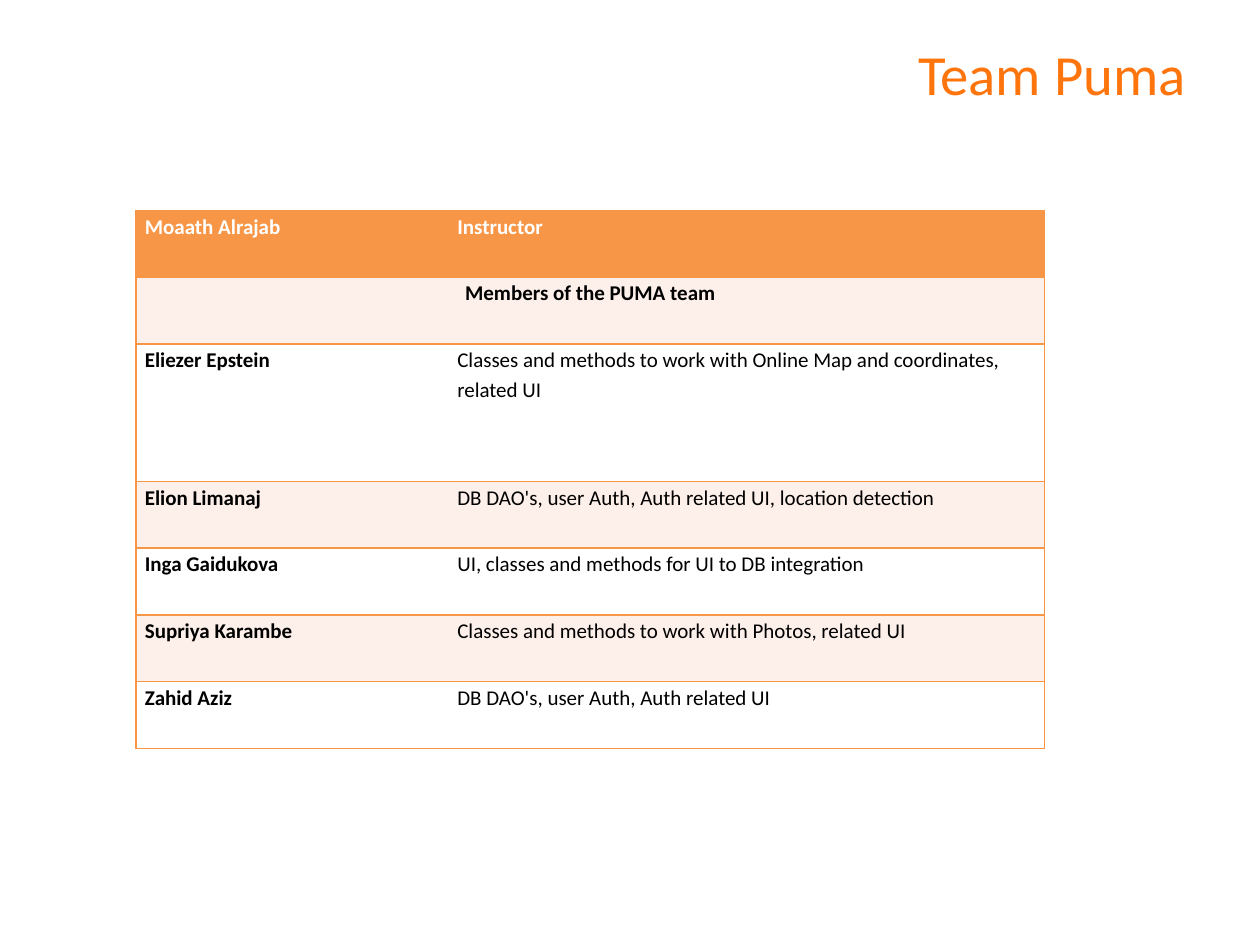
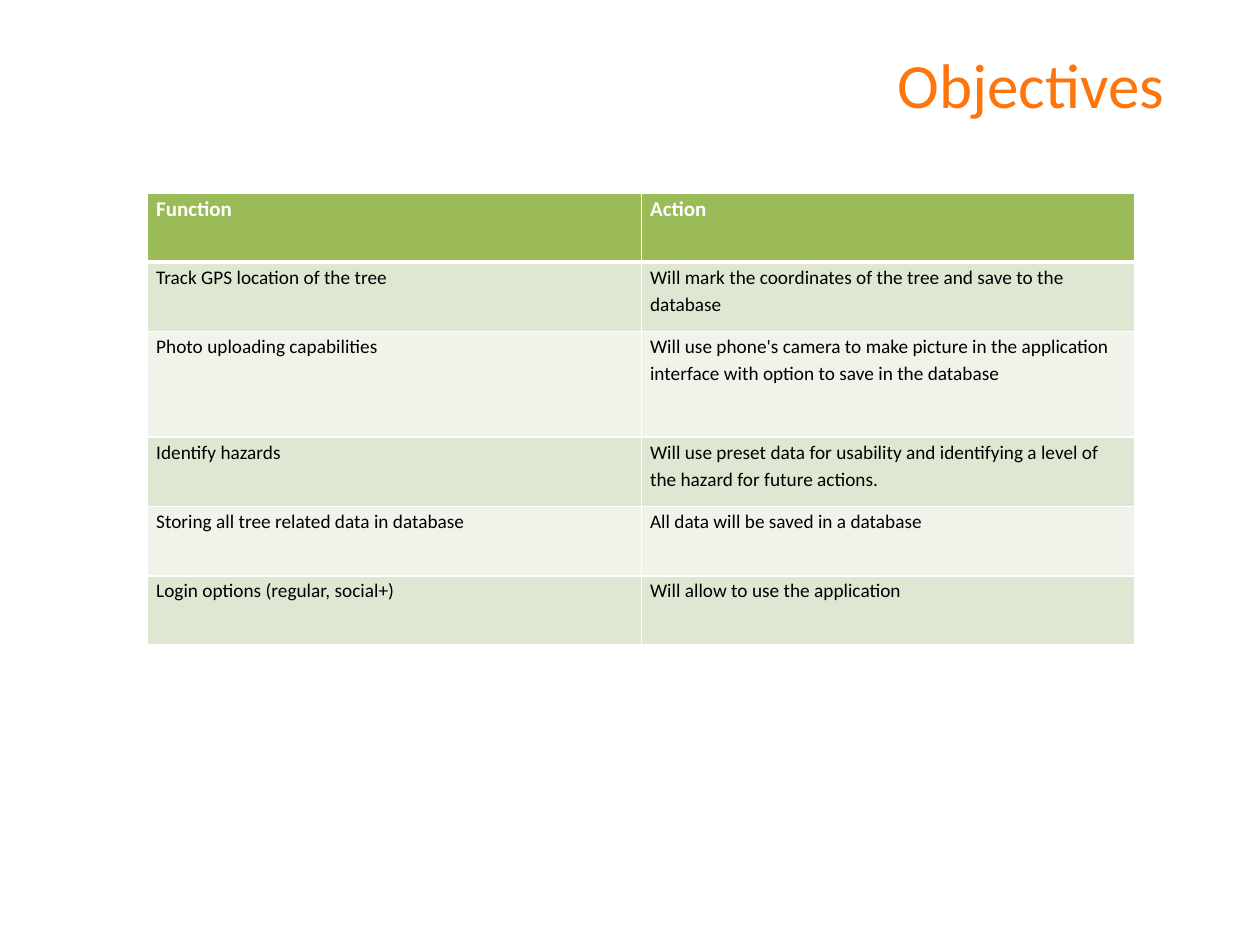
from dataclasses import dataclass

from lxml import etree
from pptx import Presentation, util as u
from pptx.dml.color import RGBColor
from pptx.enum import text
from pptx.oxml import ns


@dataclass(frozen=True)
class Theme:
    """Colours, font and type sizes shared by the slides."""
    font: str = "Calibri"
    title: str = "FF750D"
    white: str = "FFFFFF"
    black: str = "000000"
    orange: str = "F79646"
    peach: str = "FDEFE9"
    green: str = "9BBB59"
    sage: str = "DEE7D1"
    mint: str = "EFF3EA"
    team_title: float = 32.4
    goals_title: float = 36
    head: float = 12
    small: float = 11


T = Theme()

TEAM = [
    ("Moaath Alrajab", "Instructor"),
    ("Members of the PUMA team", ""),
    ("Eliezer Epstein", "Classes and methods to work with Online Map and coordinates, related UI"),
    ("Elion Limanaj", "DB DAO's, user Auth, Auth related UI, location detection"),
    ("Inga Gaidukova", "UI, classes and methods for UI to DB integration"),
    ("Supriya Karambe", "Classes and methods to work with Photos, related UI"),
    ("Zahid Aziz", "DB DAO's, user Auth, Auth related UI"),
]
GOALS = [
    ("Function", "Action"),
    ("Track GPS location of the tree",
     "Will mark the coordinates of the tree and save to the database"),
    ("Photo uploading capabilities",
     "Will use phone's camera to make picture in the application interface "
     "with option to save in the database"),
    ("Identify hazards",
     "Will use preset data for usability and identifying a level of the hazard for future actions."),
    ("Storing all tree related data in database", "All data will be saved in a database"),
    ("Login options (regular, social+)", "Will allow to use the application"),
]


def add_run(p, words, size, color, bold=False):
    """Add one formatted run to a paragraph."""
    r = p.add_run()
    r.text = words
    r.font.name, r.font.size, r.font.bold = T.font, u.Pt(size), bold
    r.font.color.rgb = RGBColor.from_string(color)


def add_title(s, box, words, size):
    """Place the right-aligned title in its box."""
    sp = s.shapes.title
    sp.left, sp.top, sp.width, sp.height = (u.Inches(v) for v in box)
    tf = sp.text_frame
    tf.auto_size = text.MSO_AUTO_SIZE.NONE
    tf.vertical_anchor = text.MSO_ANCHOR.MIDDLE
    p = tf.paragraphs[0]
    p.alignment = text.PP_ALIGN.RIGHT
    add_run(p, words, size, T.title)


def add_grid(s, box, cols, rows):
    """Add a table with the given column widths and row heights."""
    left, top = box
    size = (left, top, sum(cols), sum(rows))
    tbl = s.shapes.add_table(len(rows), len(cols), *(u.Inches(v) for v in size)).table
    for col, width in zip(tbl.columns, cols):
        col.width = u.Inches(width)
    for row, height in zip(tbl.rows, rows):
        row.height = u.Inches(height)
    return tbl


def set_borders(cell, color, **widths):
    """Draw the cell sides L, R, T and B; a width of 0 hides the side."""
    tc_pr = cell._tc.get_or_add_tcPr()
    for side in "LRTB":
        width = widths.get(side, 1)
        ln = etree.SubElement(tc_pr, ns.qn(f"a:ln{side}"), w=str(u.Pt(width)))
        if width:
            fill = etree.SubElement(ln, ns.qn("a:solidFill"))
            etree.SubElement(fill, ns.qn("a:srgbClr"), val=color)
        else:
            etree.SubElement(ln, ns.qn("a:noFill"))


def fill_cell(cell, words, fill, size, color, bold=False, after=0):
    """Set the fill, margins and text of a cell."""
    cell.fill.solid()
    cell.fill.fore_color.rgb = RGBColor.from_string(fill)
    cell.margin_left = cell.margin_right = u.Inches(0.07)
    cell.margin_top = cell.margin_bottom = 0
    p = cell.text_frame.paragraphs[0]
    p.line_spacing, p.space_after = 1.15, u.Pt(after)
    if words:
        add_run(p, words, size, color, bold)
    return p


def team_table(s, box):
    """Build the orange table of members and their work."""
    tbl = add_grid(s, box, [2.48, 4.73], [0.53, 0.53, 1.09] + [0.53] * 4)
    members = 1
    for i, row in enumerate(TEAM):
        fill = T.peach if i % 2 else T.white
        for j, words in enumerate(row):
            cell = tbl.cell(i, j)
            inner = {} if i == members else {"LR"[1 - j]: 0}
            set_borders(cell, T.orange, **inner)
            p = fill_cell(cell, words, fill if i else T.orange, T.head,
                          T.black if i else T.white, i == 0 or j == 0, 10)
            if i == members:
                p.alignment = text.PP_ALIGN.CENTER
    tbl.cell(members, 0).merge(tbl.cell(members, 1))


def goals_table(s, box):
    """Build the green table of functions and actions."""
    tbl = add_grid(s, box, [3.92, 3.92], [0.55, 0.55, 0.84] + [0.55] * 3)
    for i, row in enumerate(GOALS):
        for j, words in enumerate(row):
            cell = tbl.cell(i, j)
            set_borders(cell, T.white, T=3 if i == 1 else 1, B=1 if i else 3)
            if i == 0:
                fill_cell(cell, words, T.green, T.head, T.white, True)
            else:
                fill_cell(cell, words, T.sage if i % 2 else T.mint, T.small, T.black,
                          after=10 * j)


def main():
    """Build both slides and save the file."""
    prs = Presentation()
    prs.slide_width, prs.slide_height = u.Inches(10), u.Inches(7.5)
    title_only = prs.slide_layouts[5]

    s = prs.slides.add_slide(title_only)
    add_title(s, (0.49, 0.24, 9.02, 0.67), "Team Puma", T.team_title)
    team_table(s, (1.08, 1.67))

    s = prs.slides.add_slide(title_only)
    add_title(s, (0.66, 0.24, 8.68, 0.84), "Objectives", T.goals_title)
    goals_table(s, (1.17, 1.53))

    prs.save("out.pptx")


if __name__ == "__main__":
    main()
